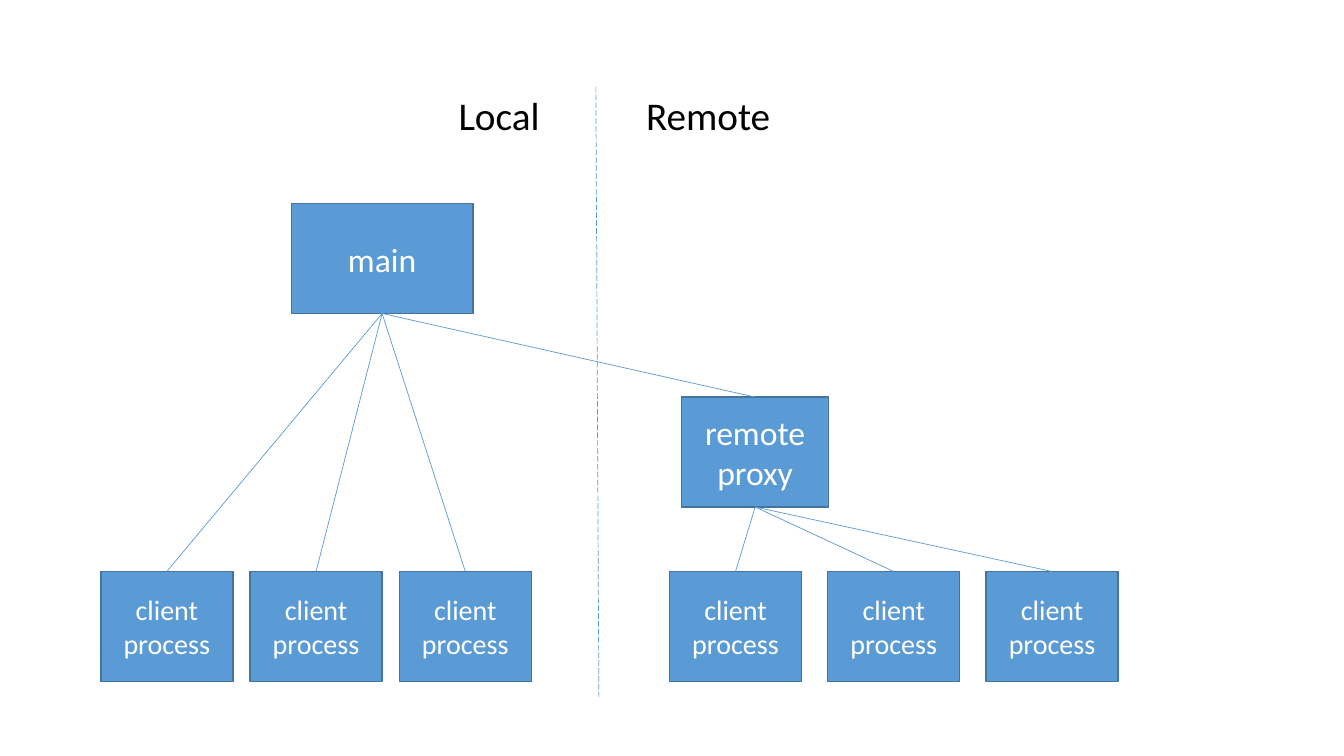
from lxml.etree import SubElement
from pptx import Presentation
from pptx.dml.color import RGBColor
from pptx.enum.dml import MSO_LINE
from pptx.enum.shapes import MSO_CONNECTOR, MSO_SHAPE
from pptx.enum.text import PP_ALIGN
from pptx.oxml.ns import qn
from pptx.util import Inches, Pt

BLUE = RGBColor(0x5B, 0x9B, 0xD5)
DARK_BLUE = RGBColor(0x43, 0x73, 0x9E)
WHITE = RGBColor(0xFF, 0xFF, 0xFF)
BLACK = RGBColor(0x00, 0x00, 0x00)
FONT = "Calibri"

# Sides: heading, left edge
SIDES = [("Local", 4.45), ("Remote", 6.31)]
# Parents: lines of text, left, top, width
MAIN = (["main"], 2.89, 2.02, 1.8)
PROXY = (["remote", "proxy"], 6.76, 3.94, 1.46)
# Client rows: first left edge, step
CLIENT = ["client process"]
LOCAL_ROW = (1.0, 1.48)
REMOTE_ROW = (6.64, 1.57)
CLIENT_COUNT, CLIENT_TOP, CLIENT_WIDTH = 3, 5.67, 1.31
BOX_HEIGHT = 1.09
BOTTOM_SITE, TOP_SITE = 2, 0


def style(paragraph, text, size, color):
    """Write text into a paragraph and set its font."""
    paragraph.text = text
    paragraph.font.name = FONT
    paragraph.font.size = Pt(size)
    paragraph.font.color.rgb = color


def add_process(slide, lines, left, top, width, size=24):
    """Add a process box with centred text."""
    box = slide.shapes.add_shape(MSO_SHAPE.RECTANGLE, Inches(left), Inches(top),
                                 Inches(width), Inches(BOX_HEIGHT))
    box.shadow.inherit = False
    box.fill.solid()
    box.fill.fore_color.rgb = BLUE
    box.line.color.rgb = DARK_BLUE
    box.line.width = Pt(1)
    frame = box.text_frame
    frame.word_wrap = True
    for index, line in enumerate(lines):
        paragraph = frame.add_paragraph() if index else frame.paragraphs[0]
        style(paragraph, line, size, WHITE)
        paragraph.alignment = PP_ALIGN.CENTER
    return box


def add_line(slide, x1=0, y1=0, x2=0, y2=0):
    """Add a thin straight line without shadow."""
    line = slide.shapes.add_connector(MSO_CONNECTOR.STRAIGHT, Inches(x1),
                                      Inches(y1), Inches(x2), Inches(y2))
    line.line.color.rgb = BLUE
    line.line.width = Pt(0.5)
    SubElement(line._element.spPr, qn("a:effectLst"))
    return line


def link(slide, parent, child):
    """Join the bottom of a parent to the top of a child."""
    line = add_line(slide)
    line.begin_connect(parent, BOTTOM_SITE)
    line.end_connect(child, TOP_SITE)


def add_clients(slide, parent, first_left, step):
    """Add a row of client processes linked to their parent."""
    for index in range(CLIENT_COUNT):
        client = add_process(slide, CLIENT, first_left + index * step,
                             CLIENT_TOP, CLIENT_WIDTH, size=20)
        link(slide, parent, client)


def add_heading(slide, text, left):
    """Add the heading of one side."""
    heading = slide.shapes.add_textbox(Inches(left), Inches(0.86),
                                       Inches(1.5), Inches(0.57))
    heading.text_frame.word_wrap = True
    style(heading.text_frame.paragraphs[0], text, 28, BLACK)


deck = Presentation()
deck.slide_width, deck.slide_height = Inches(13.33), Inches(7.5)
slide = deck.slides.add_slide(deck.slide_layouts[6])

main = add_process(slide, *MAIN)
proxy = add_process(slide, *PROXY)
link(slide, main, proxy)
add_clients(slide, main, *LOCAL_ROW)
add_clients(slide, proxy, *REMOTE_ROW)

divider = add_line(slide, 5.91, 0.86, 5.94, 6.94)
divider.line.dash_style = MSO_LINE.LONG_DASH
for side, left in SIDES:
    add_heading(slide, side, left)

deck.save("out.pptx")
